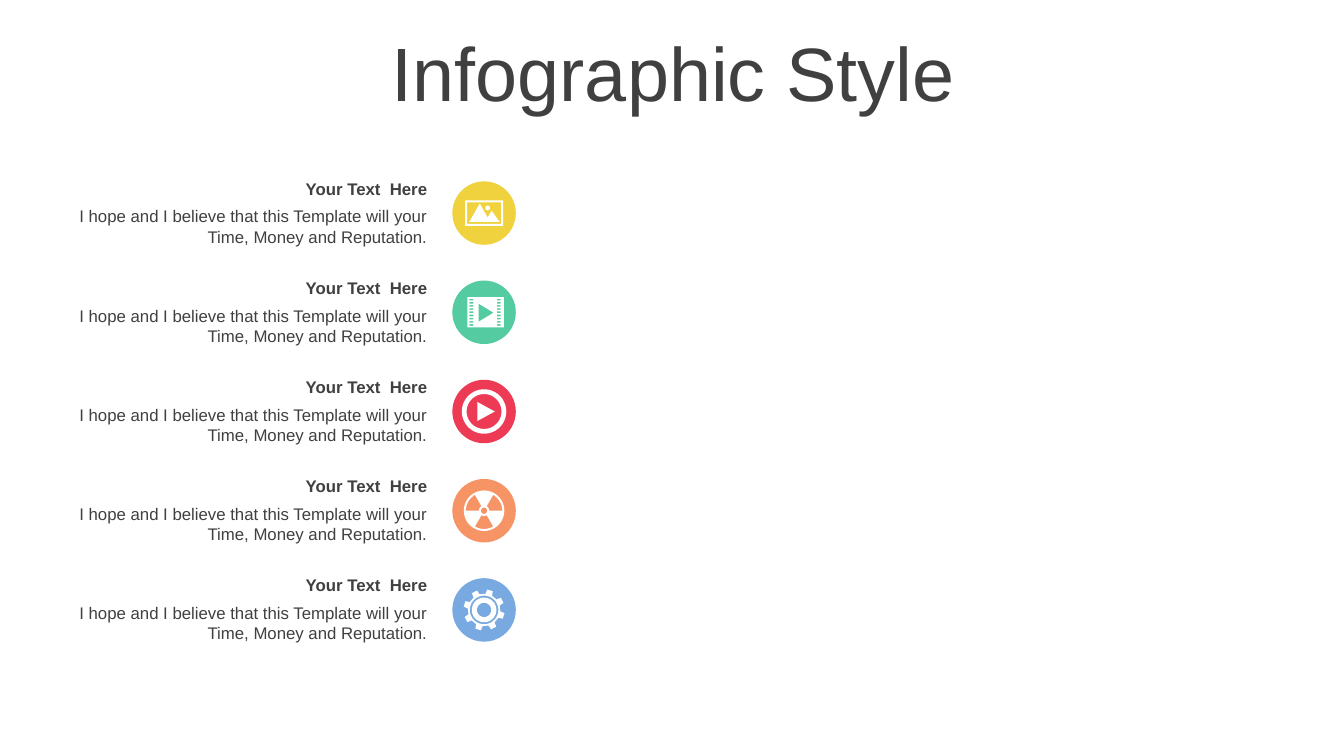
import math
from dataclasses import dataclass

import pptx
import pptx.dml.color
import pptx.enum.shapes
import pptx.enum.text
import pptx.util

Cm = pptx.util.Cm
ALIGN = pptx.enum.text.PP_ALIGN
ANCHOR = pptx.enum.text.MSO_ANCHOR


@dataclass(frozen=True)
class Theme:
    font: str = "Arial"
    ink: str = "404040"
    icon: str = "FFFFFF"
    yellow: str = "F0D23F"
    green: str = "54CBA0"
    red: str = "ED3B55"
    orange: str = "F79465"
    blue: str = "78AAE1"
    title_size: int = 54
    text_size: int = 12


THEME = Theme()
HEADING = "Your Text  Here"
BODY = "I hope and I believe that this Template will your Time, Money and Reputation."


# Icon outlines: lists of contours in hundredths of a centimetre from the disc centre
def point(radius, degrees):
    angle = math.radians(degrees)
    return radius * math.cos(angle), radius * math.sin(angle)


def arc(radius, start, stop):
    steps = max(4, abs(stop - start) // 6)
    return [point(radius, start + (stop - start) * i / steps) for i in range(steps + 1)]


def circle(radius, x=0, y=0):
    return [(x + dx, y + dy) for dx, dy in arc(radius, 0, 360)[:-1]]


def rectangle(left, top, right, bottom):
    return [(left, top), (right, top), (right, bottom), (left, bottom)]


def photo_icon():
    mountains = [(-11, -24), (9, 11), (19, -6), (39, 22), (-37, 22)]
    return [rectangle(-48, -32, 48, 32), rectangle(-43, -27, 43, 27),
            mountains, circle(6, 9, -13)]


def film_icon():
    holes = [rectangle(x, y, x + 10, y + 4)
             for x in (-37, 32) for y in range(-34, 31, 8)]
    return [rectangle(-42, -38, 50, 38), [(-14, -22), (24, 1), (-14, 24)]] + holes


def play_icon():
    return [circle(56), circle(44), [(-17, -24), (27, 0), (-17, 24)]]


def radiation_icon():
    blades = [arc(46, start, start + 60) + arc(13, start + 60, start)
              for start in (60, 180, 300)]
    return [circle(51), circle(8)] + blades


def gear_icon():
    teeth = []
    for middle in range(-73, 287, 45):
        teeth += [point(41, middle - 12), point(52, middle - 8),
                  point(52, middle + 8), point(41, middle + 12)]
    return [teeth, circle(36), circle(31), circle(18)]


ROWS = [(THEME.yellow, photo_icon), (THEME.green, film_icon), (THEME.red, play_icon),
        (THEME.orange, radiation_icon), (THEME.blue, gear_icon)]


def paint(shape, color):
    shape.shadow.inherit = False
    shape.fill.solid()
    shape.fill.fore_color.rgb = pptx.dml.color.RGBColor.from_string(color)
    shape.line.fill.background()


def write(frame, text, size, align, anchor, bold=False):
    frame.word_wrap = True
    frame.auto_size = pptx.enum.text.MSO_AUTO_SIZE.NONE
    frame.vertical_anchor = anchor
    frame.text = text
    para = frame.paragraphs[0]
    para.alignment = align
    font = para.runs[0].font
    font.name, font.size, font.bold = THEME.font, pptx.util.Pt(size), bold
    font.color.rgb = pptx.dml.color.RGBColor.from_string(THEME.ink)


def add_title(page, left, top, width, height):
    title = page.shapes.title
    title.left, title.top, title.width, title.height = left, top, width, height
    write(title.text_frame, "Infographic Style", THEME.title_size, ALIGN.CENTER, ANCHOR.MIDDLE)
    title.text_frame.paragraphs[0].line_spacing = 0.9


def add_icon(page, contours, center_x, center_y):
    fine = 100
    contours = [[(x * fine, y * fine) for x, y in contour] for contour in contours]
    builder = page.shapes.build_freeform(*contours[0][0], scale=Cm(0.01) / fine)
    for index, contour in enumerate(contours):
        if index:
            builder.move_to(*contour[0])
        builder.add_line_segments(contour[1:], close=True)
    paint(builder.convert_to_shape(center_x, center_y), THEME.icon)


def add_row(page, left, top, width, color, icon):
    # Heading and text, right aligned beside the disc
    disc_size = Cm(1.6)
    text_width = width - disc_size - Cm(0.38)
    for text, offset, height, bold in ((HEADING, 0, 0.76, True), (BODY, 0.7, 1.3, False)):
        box = page.shapes.add_textbox(left, top + Cm(offset), text_width, Cm(height))
        write(box.text_frame, text, THEME.text_size, ALIGN.RIGHT, ANCHOR.TOP, bold)
    # Coloured disc with its icon
    disc = page.shapes.add_shape(pptx.enum.shapes.MSO_SHAPE.OVAL, left + width - disc_size,
                                 top + Cm(0.2), disc_size, disc_size)
    paint(disc, color)
    add_icon(page, icon(), disc.left + disc_size // 2, disc.top + disc_size // 2)


def main():
    deck = pptx.Presentation()
    deck.slide_width, deck.slide_height = Cm(33.87), Cm(19.05)
    page = deck.slides.add_slide(deck.slide_layouts[5])
    add_title(page, Cm(0.89), Cm(0.94), Cm(32.16), Cm(2))
    for index, (color, icon) in enumerate(ROWS):
        add_row(page, Cm(1.7), Cm(4.37 + 2.5 * index), Cm(11.3), color, icon)
    deck.save("out.pptx")


if __name__ == "__main__":
    main()
